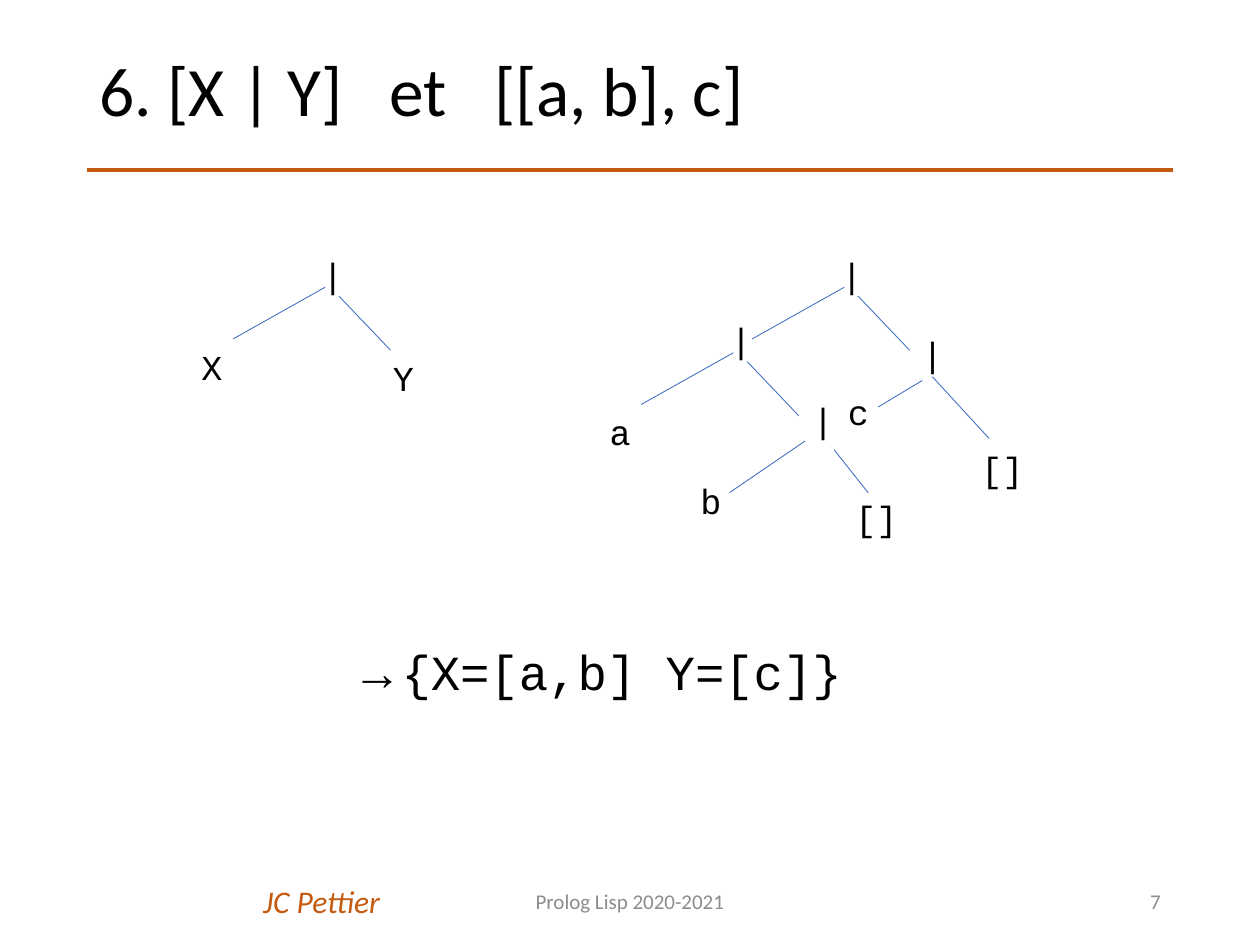
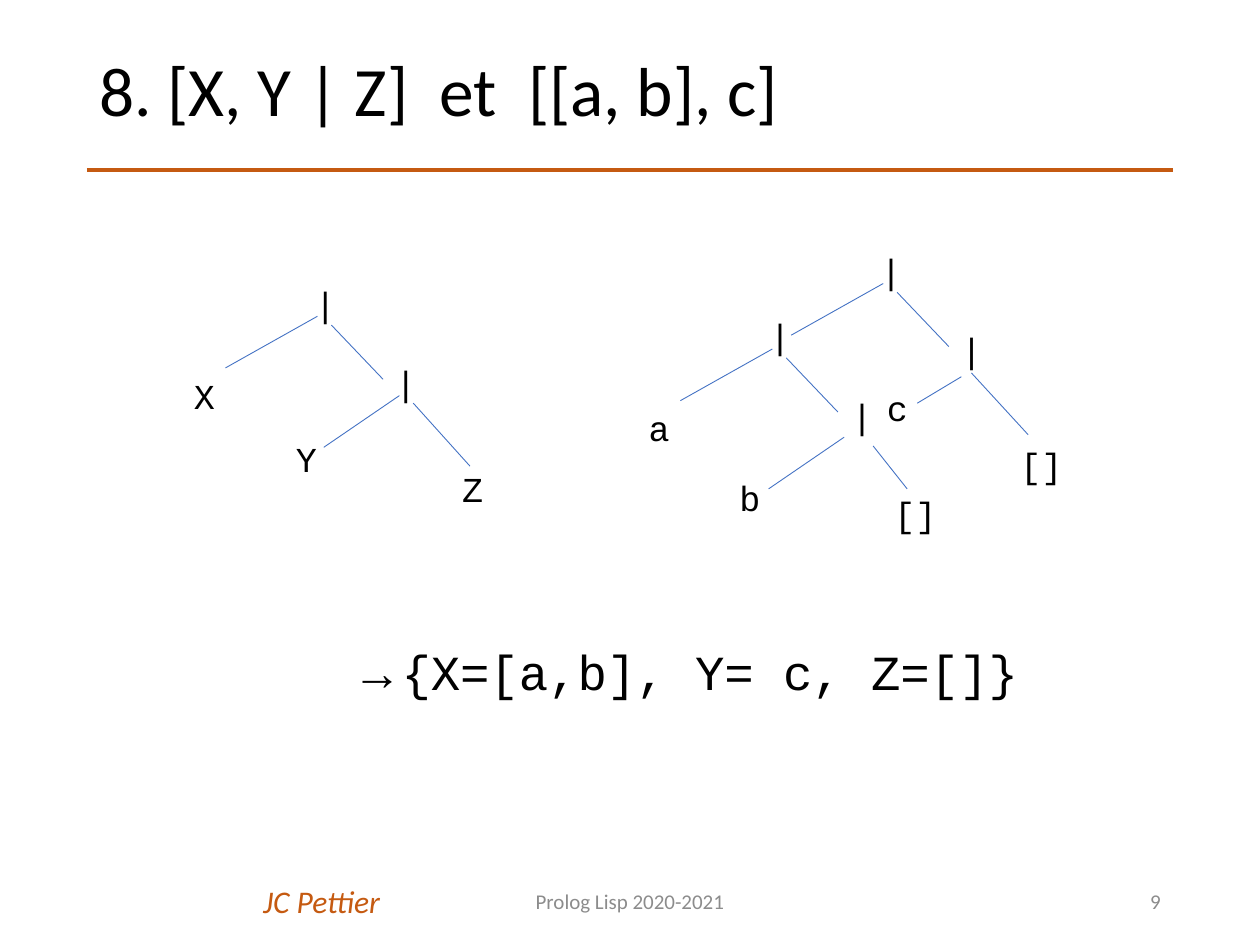
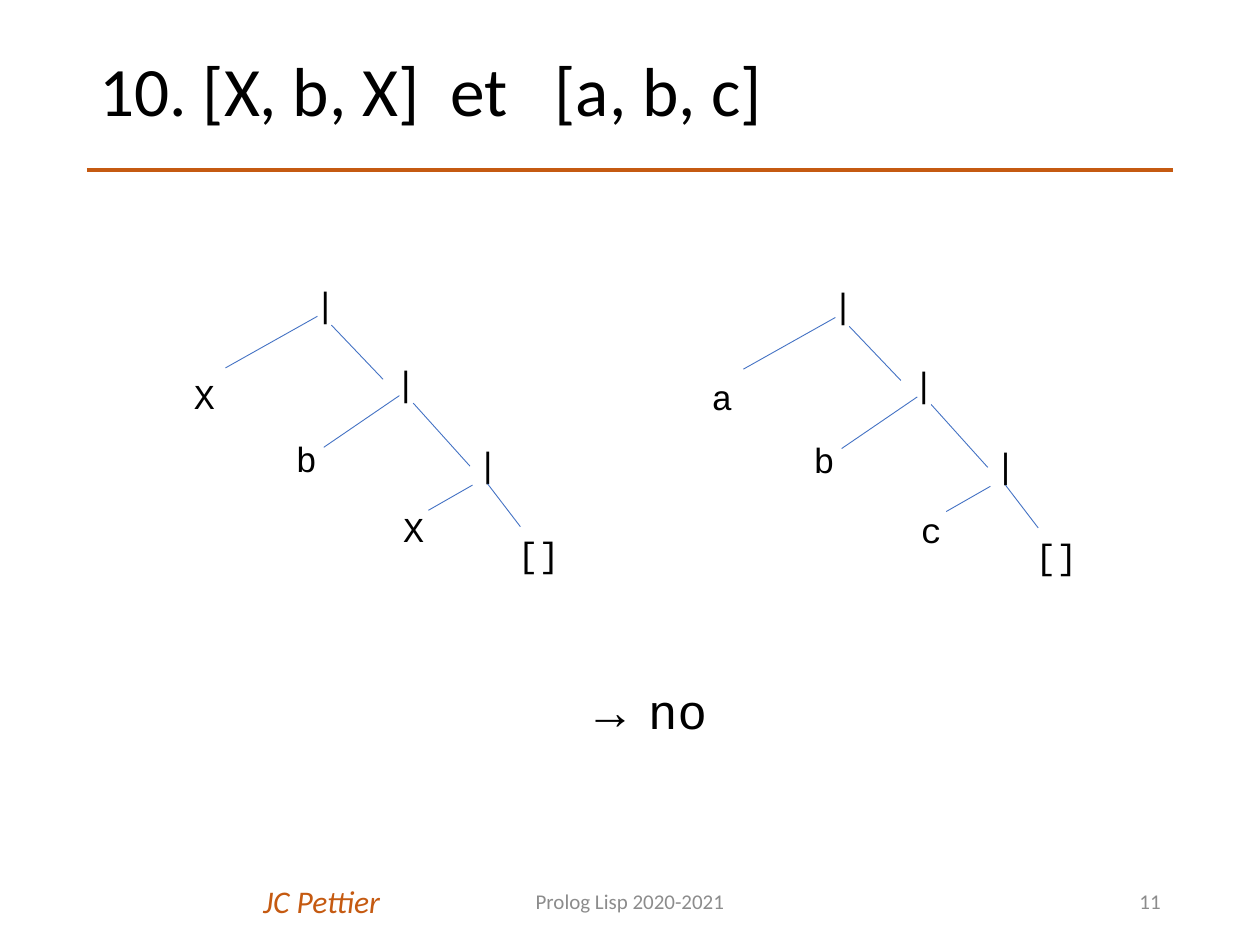
"""Build three slides that unify Prolog lists drawn as trees."""
from lxml import etree
from pptx import Presentation
from pptx import util as u
from pptx.dml.color import RGBColor
from pptx.enum import shapes, text
from pptx.oxml import ns

ORANGE = RGBColor(0xC5, 0x5A, 0x11)
BLUE = RGBColor(0x44, 0x72, 0xC4)
GREY = RGBColor(0x8C, 0x8C, 0x8C)
BLACK = RGBColor(0, 0, 0)
LEFT, MID, RIGHT = text.PP_ALIGN.LEFT, text.PP_ALIGN.CENTER, text.PP_ALIGN.RIGHT
TOP, HALF = text.MSO_ANCHOR.TOP, text.MSO_ANCHOR.MIDDLE

FORKS = {
    "root": [(-0.61, 0.73, 0.12, 0.32), (0.23, 0.39, 0.64, 0.82)],
    "next": [(-0.47, 0.73, 0.13, 0.32), (0.24, 0.38, 0.69, 0.88)],
    "last": [(-0.29, 0.59, 0.06, 0.39), (0.18, 0.38, 0.44, 0.72)],
    "inner": [(-0.56, 0.8, 0.04, 0.39), (0.27, 0.46, 0.54, 0.8)],
    "outer": [(-0.25, 0.64, 0.1, 0.43), (0.18, 0.4, 0.63, 0.89)],
}
PAIR = [("|", 0, 0, "root"), ("X", -0.96, 0.73, None), ("Y", 0.56, 0.82, None)]
NESTED = [
    ("|", 0, 0, "root"), ("|", -0.88, 0.52, "root"), ("a", -1.84, 1.25, None),
    ("|", -0.23, 1.15, "inner"), ("b", -1.12, 1.8, None), ("[]", 0.11, 1.93, None),
    ("|", 0.64, 0.63, "outer"), ("c", 0.05, 1.09, None), ("[]", 1.11, 1.54, None),
]
CHAIN = [("|", 0, 0, "root"), ("|", 0.64, 0.63, "next")]
OPEN = CHAIN + [("X", -0.96, 0.73, None), ("Y", -0.15, 1.23, None), ("Z", 1.17, 1.47, None)]
CLOSED = CHAIN + [("|", 1.29, 1.27, "last"), ("[]", 1.61, 1.99, None)]
SPOTS = [(-0.96, 0.73), (-0.15, 1.23), (0.7, 1.79)]
XBX, ABC = [CLOSED + [(name, *spot, None) for name, spot in zip(names, SPOTS)]
            for names in ("XbX", "abc")]

PAGES = [
    ("6. [X | Y]   et   [[a, b], c]", "7",
     [(PAIR, 2.46, 1.96), (NESTED, 6.58, 1.96)],
     (2.7, 5.04, 4.91, 0.57), "→", "{X=[a,b] Y=[c]}"),
    ("8. [X, Y | Z]  et  [[a, b], c]", "9",
     [(OPEN, 2.4, 2.19), (NESTED, 6.89, 1.93)],
     (2.7, 5.04, 5.68, 0.57), "→", "{X=[a,b], Y= c, Z=[]}"),
    ("10. [X, b, X]  et   [a, b, c]", "11",
     [(XBX, 2.4, 2.19), (ABC, 6.51, 2.2)],
     (4.55, 5.35, 3.38, 0.57), "→ ", "no"),
]


def write(slide, box, runs, size, color=BLACK, align=LEFT, anchor=TOP, italic=False):
    frame = slide.shapes.add_textbox(*map(u.Inches, box)).text_frame
    frame.word_wrap = True
    frame.vertical_anchor = anchor
    para = frame.paragraphs[0]
    para.alignment = align
    for words, face in runs:
        run = para.add_run()
        run.text = words
        for key, val in {"name": face, "size": u.Pt(size), "italic": italic}.items():
            setattr(run.font, key, val)
        run.font.color.rgb = color


def draw(slide, ends, color, width):
    line = slide.shapes.add_connector(shapes.MSO_CONNECTOR.STRAIGHT, *map(u.Inches, ends))
    line.line.color.rgb = color
    line.line.width = u.Pt(width)
    etree.SubElement(line._element.spPr, ns.qn("a:effectLst"))


deck = Presentation()
deck.slide_width, deck.slide_height = u.Inches(10), u.Inches(7.5)

for head, page, trees, box, arrow, answer in PAGES:
    slide = deck.slides.add_slide(deck.slide_layouts[5])
    title = slide.shapes.title
    for key, val in {"left": 0.69, "top": 0.4, "width": 8.62, "height": 0.69}.items():
        setattr(title, key, u.Inches(val))
    frame = title.text_frame
    frame.text = head
    frame.auto_size = text.MSO_AUTO_SIZE.NONE
    frame.vertical_anchor = HALF
    para = frame.paragraphs[0]
    para.alignment, para.line_spacing = LEFT, 0.9
    font = para.runs[0].font
    for key, val in {"name": "Calibri", "size": u.Pt(39.6)}.items():
        setattr(font, key, val)
    font.color.rgb = BLACK

    draw(slide, (0.69, 1.35, 9.31, 1.35), ORANGE, 2.25)
    write(slide, (1.99, 6.95, 1.19, 0.4), [("JC Pettier", "Calibri")], 18, ORANGE, italic=True)
    write(slide, (3.31, 6.95, 3.38, 0.4), [("Prolog Lisp 2020-2021", "Calibri")],
          12, GREY, MID, HALF)
    write(slide, (7.06, 6.95, 2.25, 0.4), [(page, "Calibri")], 12, GREY, RIGHT, HALF)

    for tree, left, top in trees:
        for name, dx, dy, fork in tree:
            x, y = left + dx, top + dy
            write(slide, (x, y, 0.35 * len(name), 0.39), [(name, "Courier New")], 20)
            for x1, y1, x2, y2 in FORKS.get(fork, []):
                draw(slide, (x + x1, y + y1, x + x2, y + y2), BLUE, 0.5)

    write(slide, box, [(arrow, "Arial"), (answer, "Courier New")], 28)

deck.save("out.pptx")
